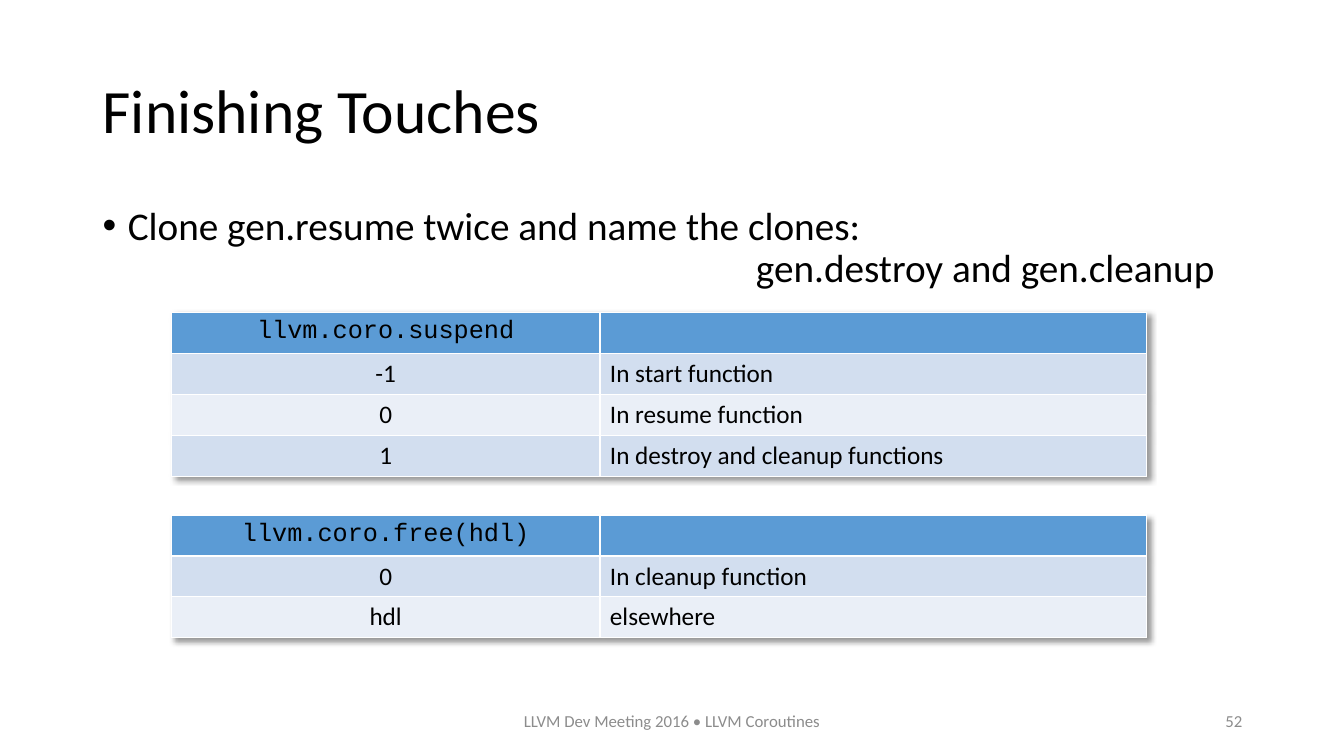
from lxml import etree
from pptx import Presentation
from pptx.dml.color import RGBColor
from pptx.enum.text import MSO_ANCHOR, PP_ALIGN
from pptx.oxml import parse_xml
from pptx.oxml.ns import qn
from pptx.util import Inches, Pt

LEFT, CENTER, RIGHT = PP_ALIGN.LEFT, PP_ALIGN.CENTER, PP_ALIGN.RIGHT
TOP, MIDDLE = MSO_ANCHOR.TOP, MSO_ANCHOR.MIDDLE

BLACK = RGBColor(0x00, 0x00, 0x00)
GRAY = RGBColor(0x8C, 0x8C, 0x8C)
HEADER_BLUE = RGBColor(0x5B, 0x9B, 0xD5)
BANDS = [RGBColor(0xD2, 0xDE, 0xEF), RGBColor(0xEA, 0xEF, 0xF7)]

# Content
TITLE = "Finishing Touches"
CLONE_STEP = "Clone gen.resume twice and name the clones:"
CLONE_NAMES = "gen.destroy and gen.cleanup"
FOOTER = "LLVM Dev Meeting 2016 • LLVM Coroutines"
PAGE_NUMBER = "52"
SUSPEND_RESULTS = [
    ("llvm.coro.suspend", ""),
    ("-1", "In start function"),
    ("0", "In resume function"),
    ("1", "In destroy and cleanup functions"),
]
FREE_RESULTS = [
    ("llvm.coro.free(hdl)", ""),
    ("0", "In cleanup function"),
    ("hdl", "elsewhere"),
]

# Layout, in inches
SLIDE_W, SLIDE_H = 13.33, 7.5
MARGIN = 0.92
CONTENT_W = 11.5
FOOTER_TOP, FOOTER_H = 6.95, 0.4
FOOTER_W, NUMBER_W = 4.5, 3
TABLE_LEFT = 1.7
COLUMNS = (4.25, 5.42)
ROW_H = 0.406

SHADOW = (
    '<a:effectLst xmlns:a="http://schemas.openxmlformats.org/drawingml/2006/main">'
    '<a:outerShdw blurRad="50800" dist="38100" dir="2700000" algn="tl" rotWithShape="0">'
    '<a:prstClr val="black"><a:alpha val="40000"/></a:prstClr>'
    '</a:outerShdw></a:effectLst>'
)


def write(paragraph, text, size=18, font="Calibri", color=BLACK, align=LEFT,
          line=None, indent=0, bullet=False):
    properties = paragraph._p.get_or_add_pPr()
    if indent:
        properties.set("marL", str(Inches(indent)))
        properties.set("indent", str(-Inches(indent) if bullet else 0))
    if bullet:
        etree.SubElement(properties, qn("a:buFont")).set("typeface", "Arial")
        etree.SubElement(properties, qn("a:buChar")).set("char", "•")
    paragraph.alignment = align
    if line:
        paragraph.line_spacing = line
    if text:
        run = paragraph.add_run()
        run.text = text
        run.font.size, run.font.name, run.font.bold = Pt(size), font, False
        run.font.color.rgb = color


def add_box(slide, left, top, width, height, anchor=TOP):
    frame = slide.shapes.add_textbox(*map(Inches, (left, top, width, height))).text_frame
    frame.word_wrap = True
    frame.vertical_anchor = anchor
    return frame


def add_results(slide, top, results):
    table = slide.shapes.add_table(
        len(results), len(COLUMNS), Inches(TABLE_LEFT), Inches(top),
        Inches(sum(COLUMNS)), Inches(ROW_H * len(results))).table
    table._tbl.tblPr.insert(0, parse_xml(SHADOW))
    for column, width in zip(table.columns, COLUMNS):
        column.width = Inches(width)
    for r, result in enumerate(results):
        table.rows[r].height = Inches(ROW_H)
        for c, text in enumerate(result):
            cell = table.cell(r, c)
            cell.fill.solid()
            cell.fill.fore_color.rgb = BANDS[(r - 1) % 2] if r else HEADER_BLUE
            write(cell.text_frame.paragraphs[0], text,
                  font="Calibri" if r else "Courier New",
                  align=LEFT if c else CENTER)


def main():
    prs = Presentation()
    prs.slide_width, prs.slide_height = Inches(SLIDE_W), Inches(SLIDE_H)
    slide = prs.slides.add_slide(prs.slide_layouts[6])

    # Title
    title = add_box(slide, MARGIN, 0.4, CONTENT_W, 1.45, MIDDLE)
    write(title.paragraphs[0], TITLE, size=44, line=0.9)

    # Bullet, with the clone names indented on the next line
    body = add_box(slide, MARGIN, 2, CONTENT_W, 4.76)
    write(body.paragraphs[0], CLONE_STEP, size=28, line=0.9, indent=0.25, bullet=True)
    write(body.add_paragraph(), CLONE_NAMES, size=28, line=0.9, indent=6.48)

    # Tables
    add_results(slide, 3.1, SUSPEND_RESULTS)
    add_results(slide, 5.11, FREE_RESULTS)

    # Footer
    footer = add_box(slide, (SLIDE_W - FOOTER_W) / 2, FOOTER_TOP, FOOTER_W, FOOTER_H, MIDDLE)
    write(footer.paragraphs[0], FOOTER, size=12, color=GRAY, align=CENTER)
    number = add_box(slide, MARGIN + CONTENT_W - NUMBER_W, FOOTER_TOP, NUMBER_W, FOOTER_H, MIDDLE)
    write(number.paragraphs[0], PAGE_NUMBER, size=12, color=GRAY, align=RIGHT)

    prs.save("out.pptx")


if __name__ == "__main__":
    main()
